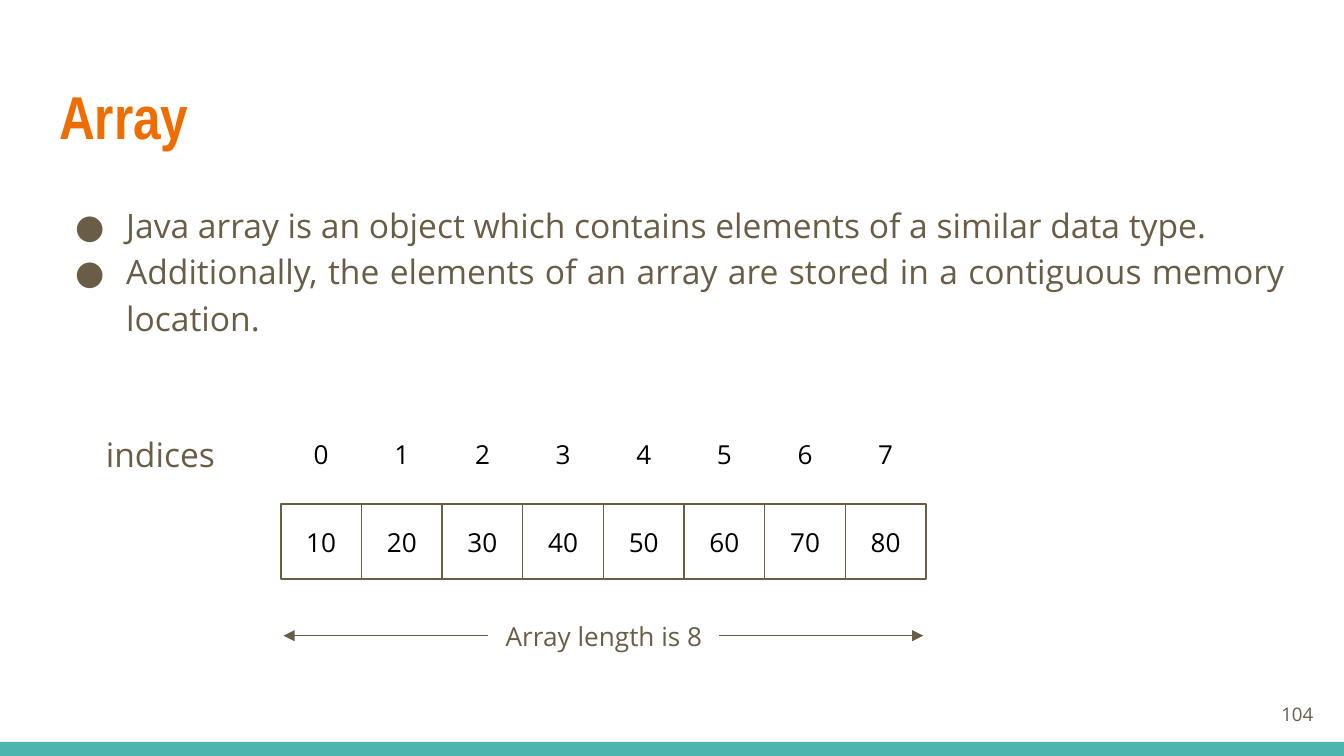
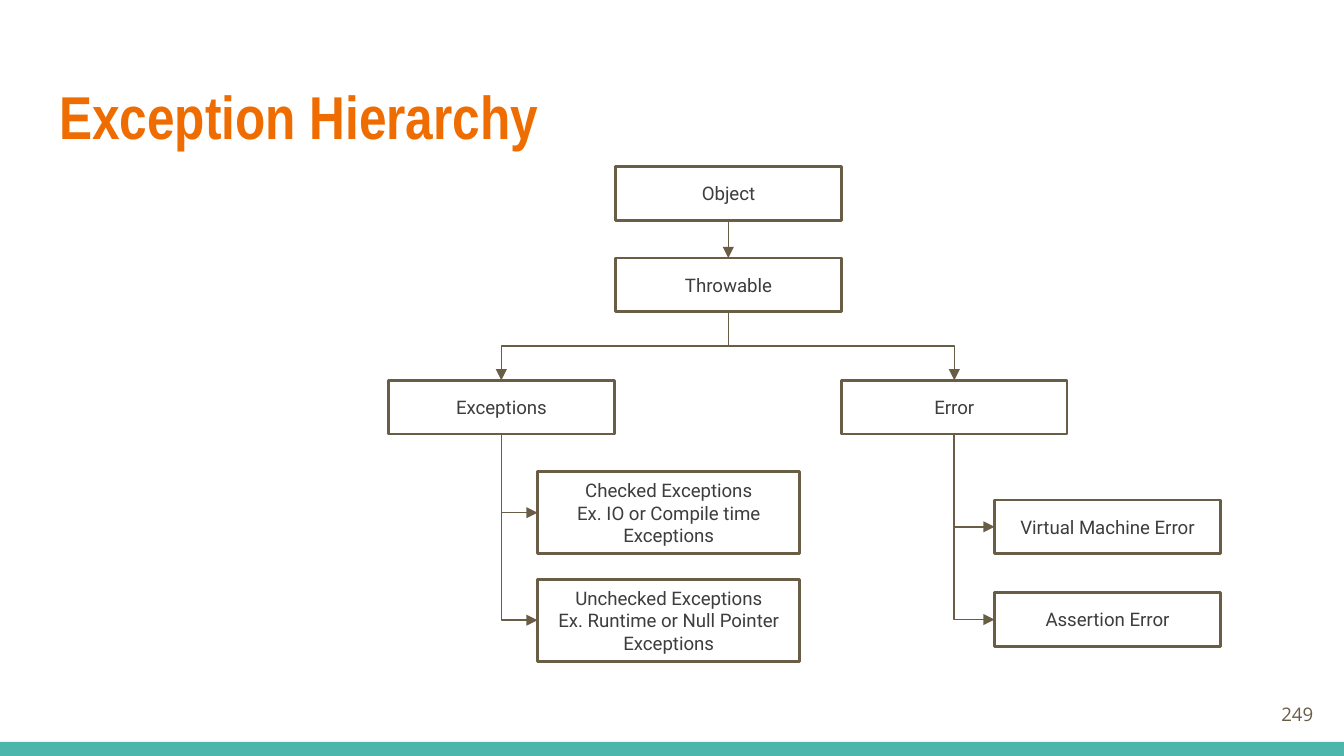
import pptx
import pptx.util
import pptx.dml.color
import pptx.enum.shapes
import pptx.enum.text
import pptx.oxml.ns
from lxml import etree

Inches = pptx.util.Inches
Pt = pptx.util.Pt
qn = pptx.oxml.ns.qn
ALIGN = pptx.enum.text.PP_ALIGN
ANCHOR = pptx.enum.text.MSO_ANCHOR
CONNECTOR = pptx.enum.shapes.MSO_CONNECTOR
RECTANGLE = pptx.enum.shapes.MSO_SHAPE.RECTANGLE

COLORS = {
    "title": "EF6C00",
    "brown": "695D46",
    "band": "4DB6AC",
    "node": "3D3D3D",
    "black": "000000",
    "white": "FFFFFF",
}
TITLE_FONT, BODY_FONT, NODE_FONT = "Arial Narrow", "Open Sans", "Roboto"

# Array slide
ARRAY_POINTS = [
    "Java array is an object which contains elements of a similar data type.",
    "Additionally, the elements of an array are stored in a contiguous memory location.",
]
ARRAY_VALUES = [10, 20, 30, 40, 50, 60, 70, 80]
ARRAY_LEFT, CELL_WIDTH, CELL_HEIGHT = 2.09, 0.6, 0.56
INDEX_TOP, VALUE_TOP, LENGTH_Y = 3.1, 3.75, 4.73

# Exception slide: key -> text, left, top
NODES = {
    "object": ("Object", 4.58, 1.24),
    "throwable": ("Throwable", 4.58, 1.92),
    "exceptions": ("Exceptions", 2.89, 2.83),
    "error": ("Error", 6.26, 2.83),
    "machine": ("Virtual Machine Error", 7.4, 3.72),
    "assertion": ("Assertion Error", 7.4, 4.41),
    "checked": ("Checked Exceptions\nEx. IO or Compile time Exceptions", 4, 3.51),
    "unchecked": ("Unchecked Exceptions\nEx. Runtime or Null Pointer Exceptions", 4, 4.31),
}
NODE_SIZE, WIDE_NODE_SIZE = (1.68, 0.4), (1.95, 0.61)
TOP_LINKS = [("object", "throwable"), ("throwable", "exceptions"), ("throwable", "error")]
SIDE_LINKS = [
    ("exceptions", "unchecked"), ("exceptions", "checked"),
    ("error", "machine"), ("error", "assertion"),
]


def rgb(name):
    return pptx.dml.color.RGBColor.from_string(COLORS[name])


def write(shape, text, size, color="brown", font=BODY_FONT, align=ALIGN.CENTER,
          anchor=ANCHOR.MIDDLE, bold=False):
    frame = shape.text_frame
    frame.text = text
    frame.word_wrap = True
    frame.auto_size = pptx.enum.text.MSO_AUTO_SIZE.NONE
    frame.vertical_anchor = anchor
    frame.margin_left = frame.margin_right = Inches(0.1)
    frame.margin_top = frame.margin_bottom = Inches(0.1)
    for paragraph in frame.paragraphs:
        paragraph.alignment = align
        for run in paragraph.runs:
            run.font.name = font
            run.font.size = Pt(size)
            run.font.bold = bold
            run.font.color.rgb = rgb(color)


def add_text(slide, box, text, size, **style):
    shape = slide.shapes.add_textbox(*map(Inches, box))
    write(shape, text, size, **style)
    return shape


def add_box(slide, box, line=None, width=0.75, fill=None):
    shape = slide.shapes.add_shape(RECTANGLE, *map(Inches, box))
    shape.shadow.inherit = False
    if fill:
        shape.fill.solid()
        shape.fill.fore_color.rgb = rgb(fill)
    else:
        shape.fill.background()
    if line:
        shape.line.color.rgb = rgb(line)
        shape.line.width = Pt(width)
    else:
        shape.line.fill.background()
    return shape


def add_arrow(slide, start, end, kind=CONNECTOR.STRAIGHT):
    connector = slide.shapes.add_connector(kind, *map(Inches, (*start, *end)))
    connector.line.color.rgb = rgb("brown")
    connector.line.width = Pt(0.75)
    etree.SubElement(connector.line._get_or_add_ln(), qn("a:tailEnd"), type="triangle")
    etree.SubElement(connector.element.spPr, qn("a:effectLst"))
    return connector


def add_elbow(slide, start, end, preset):
    """Elbow arrow that leaves its start downwards, as a turned connector."""
    (x1, y1), (x2, y2) = start, end
    length, reach = abs(y2 - y1), abs(x2 - x1)
    left, top = (x1 + x2 - length) / 2, (y1 + y2 - reach) / 2
    connector = add_arrow(slide, (left, top), (left + length, top + reach), CONNECTOR.ELBOW)
    properties = connector.element.spPr
    transform = properties.find(qn("a:xfrm"))
    if x2 < x1:
        transform.set("rot", str(90 * 60000))
    else:
        transform.set("rot", str(270 * 60000))
        transform.set("flipH", "1")
    properties.find(qn("a:prstGeom")).set("prst", preset)


def add_bullets(slide, box, points):
    shape = add_text(slide, box, "\n".join(points), 18,
                     align=ALIGN.JUSTIFY, anchor=ANCHOR.TOP)
    for paragraph in shape.text_frame.paragraphs:
        properties = paragraph._p.get_or_add_pPr()
        properties.set("marL", str(Inches(0.5)))
        properties.set("indent", str(-Inches(0.38)))
        bullet_color = etree.SubElement(properties, qn("a:buClr"))
        etree.SubElement(bullet_color, qn("a:srgbClr"), val=COLORS["brown"])
        etree.SubElement(properties, qn("a:buFont"), typeface=BODY_FONT)
        etree.SubElement(properties, qn("a:buChar"), char="●")
        paragraph.line_spacing = 1.15


def add_slide(presentation, title, number):
    """Slide with the shared title style, bottom band and page number."""
    slide = presentation.slides.add_slide(presentation.slide_layouts[5])
    add_box(slide, (0, 5.52, 10, 0.11), fill="band")
    shape = slide.shapes.title
    shape.left, shape.top, shape.width, shape.height = map(Inches, (0.34, 0.49, 9.32, 0.77))
    write(shape, title, 32.4, "title", TITLE_FONT, ALIGN.LEFT, ANCHOR.TOP, True)
    add_text(slide, (9.27, 5.1, 0.6, 0.43), str(number), 10, align=ALIGN.RIGHT)
    return slide


def build_array(presentation):
    slide = add_slide(presentation, "Array", 104)
    add_bullets(slide, (0.34, 1.38, 9.32, 3.61), ARRAY_POINTS)

    # Index row above value row
    add_text(slide, (0.69, 3.13, 1.2, 0.5), "indices", 18,
             align=ALIGN.LEFT, anchor=ANCHOR.TOP)
    rows = [(VALUE_TOP, ARRAY_VALUES, "brown"),
            (INDEX_TOP, range(len(ARRAY_VALUES)), "white")]
    for top, values, line in rows:
        for column, value in enumerate(values):
            left = ARRAY_LEFT + column * CELL_WIDTH
            cell = add_box(slide, (left, top, CELL_WIDTH, CELL_HEIGHT), line)
            write(cell, str(value), 14, "black")

    # Length label between two outward arrows
    add_text(slide, (3.63, 4.51, 1.73, 0.44), "Array length is 8", 14)
    for inner, outer in [(3.63, 2.11), (5.35, 6.87)]:
        add_arrow(slide, (inner, LENGTH_Y), (outer, LENGTH_Y))


def build_hierarchy(presentation):
    slide = add_slide(presentation, "Exception Hierarchy", 249)
    boxes = {}
    for key, (text, left, top) in NODES.items():
        size = WIDE_NODE_SIZE if "\n" in text else NODE_SIZE
        boxes[key] = (left, top, *size)
        write(add_box(slide, boxes[key], "brown", 1.5), text, 10, "node", NODE_FONT)

    def bottom(key):
        left, top, width, height = boxes[key]
        return left + width / 2, top + height

    # Links into the top edge, then links into the left edge
    for parent, child in TOP_LINKS:
        left, top, width, height = boxes[child]
        add_elbow(slide, bottom(parent), (left + width / 2, top), "bentConnector3")
    for parent, child in SIDE_LINKS:
        left, top, width, height = boxes[child]
        add_elbow(slide, bottom(parent), (left, top + height / 2), "bentConnector2")


def main():
    presentation = pptx.Presentation()
    # Widescreen, 16:9
    presentation.slide_width = Inches(10)
    presentation.slide_height = Inches(10) * 9 // 16
    build_array(presentation)
    build_hierarchy(presentation)
    presentation.save("out.pptx")


if __name__ == "__main__":
    main()
